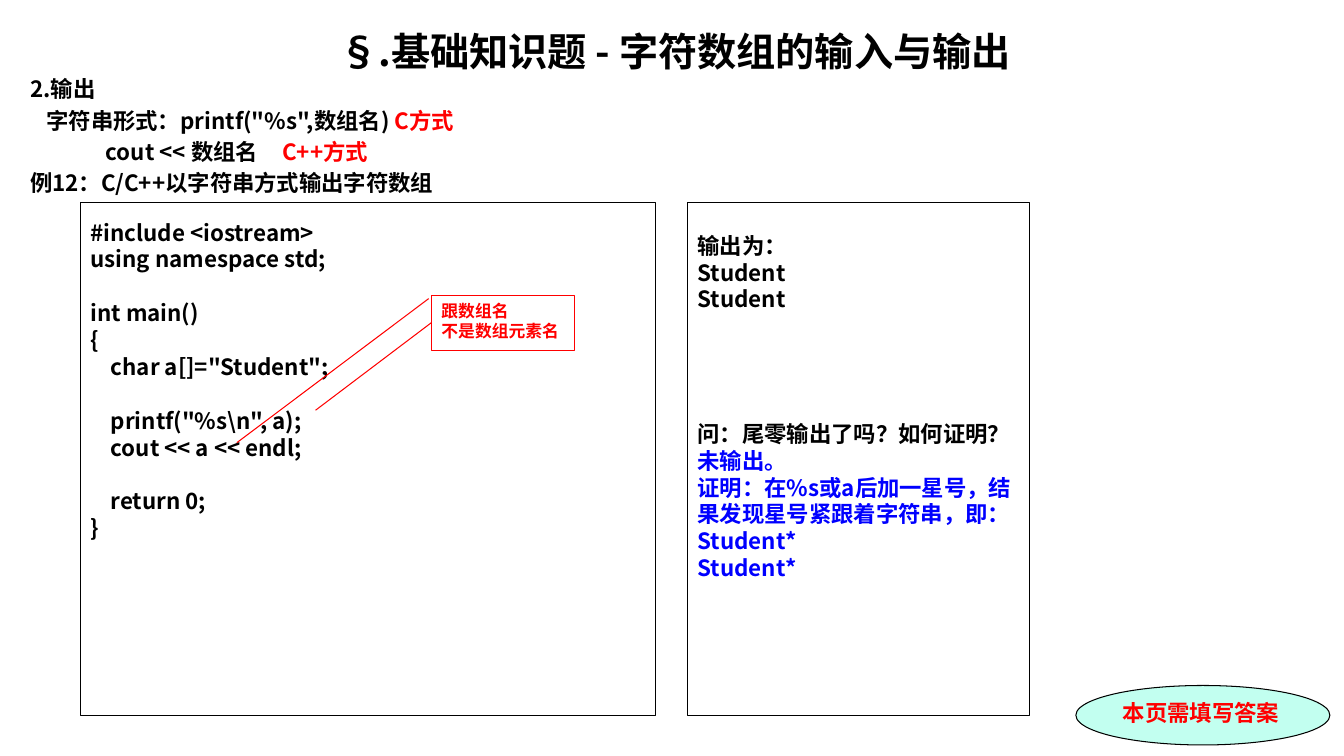
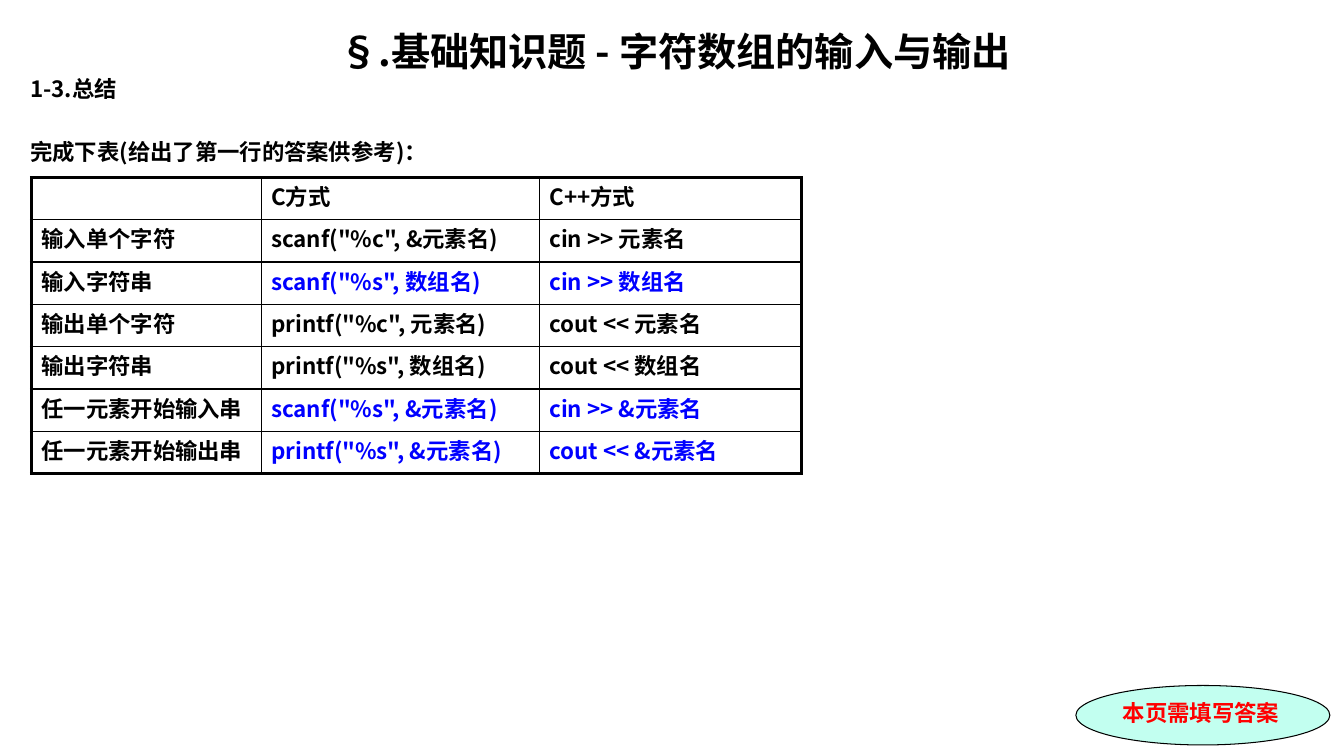
import dataclasses

import lxml.etree
import pptx
import pptx.dml.color
import pptx.enum.shapes
import pptx.enum.text
import pptx.oxml.ns
import pptx.util

SHAPE = pptx.enum.shapes.MSO_SHAPE
ANCHOR = pptx.enum.text.MSO_ANCHOR
ALIGN = pptx.enum.text.PP_ALIGN
WIDE, HIGH = 13.33, 7.5


@dataclasses.dataclass(frozen=True)
class Theme:
    black: str = "000000"
    white: str = "FFFFFF"
    red: str = "FF0000"
    blue: str = "0000FF"
    mint: str = "C2FFF0"
    face: str = "Noto Sans CJK SC"
    serif: str = "Times New Roman"
    head: int = 28
    text: int = 16
    note: int = 12
    lead: float = 1.2
    gap: float = 3.2
    thin: float = 0.75
    rule: float = 1
    edge: float = 2.25


LOOK = Theme()
BLANK = LOOK.text * LOOK.lead


def color(code):
    return pptx.dml.color.RGBColor.from_string(code)


def across(share):
    return pptx.util.Inches(WIDE * share / 100)


def down(share):
    return pptx.util.Inches(HIGH * share / 100)


def area(left, top, width, height):
    return across(left), down(top), across(width), down(height)


def child(node, tag, **attrs):
    return lxml.etree.SubElement(node, pptx.oxml.ns.qn(tag), **attrs)


def say(frame, text, size=LOOK.text, hue=LOOK.black, face=LOOK.face,
        gap=0, dent=0, stop=0, align=ALIGN.LEFT, join=False):
    par = frame.paragraphs[-1]
    if par.runs and not join:
        par = frame.add_paragraph()
    if not join:
        props = par._p.get_or_add_pPr()
        props.set("marL", "0")
        props.set("indent", str(pptx.util.Inches(dent)))
        child(props, "a:buNone")
        if stop:
            child(child(props, "a:tabLst"), "a:tab",
                  pos=str(pptx.util.Inches(stop)), algn="l")
        par.alignment = align
        par.line_spacing = pptx.util.Pt(size * LOOK.lead)
        par.space_before = pptx.util.Pt(gap)
    run = par.add_run()
    run.text = text
    run.font.size = pptx.util.Pt(size)
    run.font.bold = True
    run.font.name = face
    run.font.color.rgb = color(hue)
    child(run._r.get_or_add_rPr(), "a:ea", typeface=LOOK.face)


def place(holder, *spot):
    holder.left, holder.top, holder.width, holder.height = area(*spot)
    frame = holder.text_frame
    frame.word_wrap = True
    frame.auto_size = pptx.enum.text.MSO_AUTO_SIZE.NONE
    frame.vertical_anchor = ANCHOR.TOP
    return frame


def panel(slide, kind, *spot, fill=None, line=LOOK.black, wrap=True, top=0.05):
    shape = slide.shapes.add_shape(kind, *area(*spot))
    shape.shadow.inherit = False
    if fill:
        shape.fill.solid()
        shape.fill.fore_color.rgb = color(fill)
    else:
        shape.fill.background()
    shape.line.color.rgb = color(line)
    shape.line.width = pptx.util.Pt(LOOK.thin)
    frame = shape.text_frame
    frame.word_wrap = wrap
    frame.vertical_anchor = ANCHOR.TOP
    frame.margin_top = pptx.util.Inches(top)
    return shape


def link(slide, left, top, right, base):
    line = slide.shapes.add_connector(
        pptx.enum.shapes.MSO_CONNECTOR.STRAIGHT,
        across(left), down(top), across(right), down(base))
    line.line.color.rgb = color(LOOK.red)
    line.line.width = pptx.util.Pt(LOOK.thin)
    child(line._element.spPr, "a:effectLst")


def border(cell, sides):
    props = cell._tc.get_or_add_tcPr()
    for side, width in sides.items():
        line = child(props, "a:ln" + side, w=str(pptx.util.Pt(width)))
        child(child(line, "a:solidFill"), "a:srgbClr", val=LOOK.black)


def grid(slide, rows, blues, left, top, widths, step):
    count, span = len(rows), len(widths)
    table = slide.shapes.add_table(
        count, span, *area(left, top, sum(widths), step * count)).table
    table.first_row = table.horz_banding = False
    for col, width in zip(table.columns, widths):
        col.width = across(width)
    for r, row in enumerate(rows):
        table.rows[r].height = down(step)
        for c, text in enumerate(row):
            cell = table.cell(r, c)
            ends = {"L": c == 0, "R": c == span - 1,
                    "T": r == 0, "B": r == count - 1}
            border(cell, {side: LOOK.edge if end else LOOK.rule
                          for side, end in ends.items()})
            cell.fill.solid()
            cell.fill.fore_color.rgb = color(LOOK.white)
            cell.vertical_anchor = ANCHOR.MIDDLE
            say(cell.text_frame, text,
                hue=LOOK.blue if c and r in blues else LOOK.black)


def page(deck):
    slide = deck.slides.add_slide(deck.slide_layouts[1])
    title = place(slide.shapes.title, 1.5, 2.93, 97.45, 6.9)
    say(title, "§.基础知识题 - 字符数组的输入与输出", size=LOOK.head,
        align=ALIGN.CENTER)
    body = place(slide.placeholders[1], 1.5, 9.33, 97.45, 17.3)
    badge = panel(slide, SHAPE.OVAL, 80.05, 90.67, 18.9, 7.87, fill=LOOK.mint)
    say(badge.text_frame, "本页需填写答案", hue=LOOK.red, face=LOOK.serif)
    return slide, body


def output(deck):
    slide, body = page(deck)
    say(body, "2.输出", align=ALIGN.JUSTIFY)
    say(body, '字符串形式：printf("%s",数组名) ', gap=LOOK.gap, dent=0.16,
        align=ALIGN.JUSTIFY)
    say(body, "C方式", hue=LOOK.red, join=True)
    say(body, "cout << 数组名\t", gap=LOOK.gap, dent=0.75, stop=2.68,
        align=ALIGN.JUSTIFY)
    say(body, "C++方式", hue=LOOK.red, join=True)
    say(body, "例12：C/C++以字符串方式输出字符数组", gap=LOOK.gap,
        align=ALIGN.JUSTIFY)

    code = panel(slide, SHAPE.RECTANGLE, 6, 26.8, 42.76, 67.87,
                 wrap=False, top=0.16).text_frame
    blocks = (
        ("#include <iostream>", "using namespace std;"),
        ("int main()", "{", '    char a[]="Student";'),
        (r'    printf("%s\n", a);', "    cout << a << endl;"),
        ("    return 0;", "}"),
    )
    for b, block in enumerate(blocks):
        for n, text in enumerate(block):
            say(code, text, gap=BLANK if b and n == 0 else 0)

    result = panel(slide, SHAPE.RECTANGLE, 51.16, 26.8, 25.43, 67.87,
                   wrap=False, top=0.29).text_frame
    for text in ("输出为：", "Student", "Student"):
        say(result, text)
    say(result, "问：尾零输出了吗？如何证明？", gap=4 * BLANK)
    for text in ("未输出。", "证明：在%s或a后加一星号，结",
                 "果发现星号紧跟着字符串，即：", "Student*", "Student*"):
        say(result, text, hue=LOOK.blue)

    note = panel(slide, SHAPE.LINE_CALLOUT_1, 32.11, 39.07, 10.65, 7.33,
                 line=LOOK.red)
    for n, value in enumerate((0.06, -0.02, 2.66, -1.36)):
        note.adjustments[n] = value
    for text in ("跟数组名", "不是数组元素名"):
        say(note.text_frame, text, size=LOOK.note, hue=LOOK.red,
            face=LOOK.serif)
    link(slide, 32.11, 42.67, 23.48, 54.27)


def recap(deck):
    slide, body = page(deck)
    say(body, "1-3.总结", align=ALIGN.JUSTIFY)
    say(body, "完成下表(给出了第一行的答案供参考)：",
        gap=2 * LOOK.gap + BLANK, align=ALIGN.JUSTIFY)
    rows = (
        ("", "C方式", "C++方式"),
        ("输入单个字符", 'scanf("%c", &元素名)', "cin >> 元素名"),
        ("输入字符串", 'scanf("%s", 数组名)', "cin >> 数组名"),
        ("输出单个字符", 'printf("%c", 元素名)', "cout << 元素名"),
        ("输出字符串", 'printf("%s", 数组名)', "cout << 数组名"),
        ("任一元素开始输入串", 'scanf("%s", &元素名)', "cin >> &元素名"),
        ("任一元素开始输出串", 'printf("%s", &元素名)', "cout << &元素名"),
    )
    grid(slide, rows, (2, 5, 6), 2.33, 23.47, (17.1, 20.7, 19.5), 5.6)


def main():
    deck = pptx.Presentation()
    deck.slide_width = pptx.util.Inches(WIDE)
    deck.slide_height = pptx.util.Inches(HIGH)
    output(deck)
    recap(deck)
    deck.save("out.pptx")


if __name__ == "__main__":
    main()
